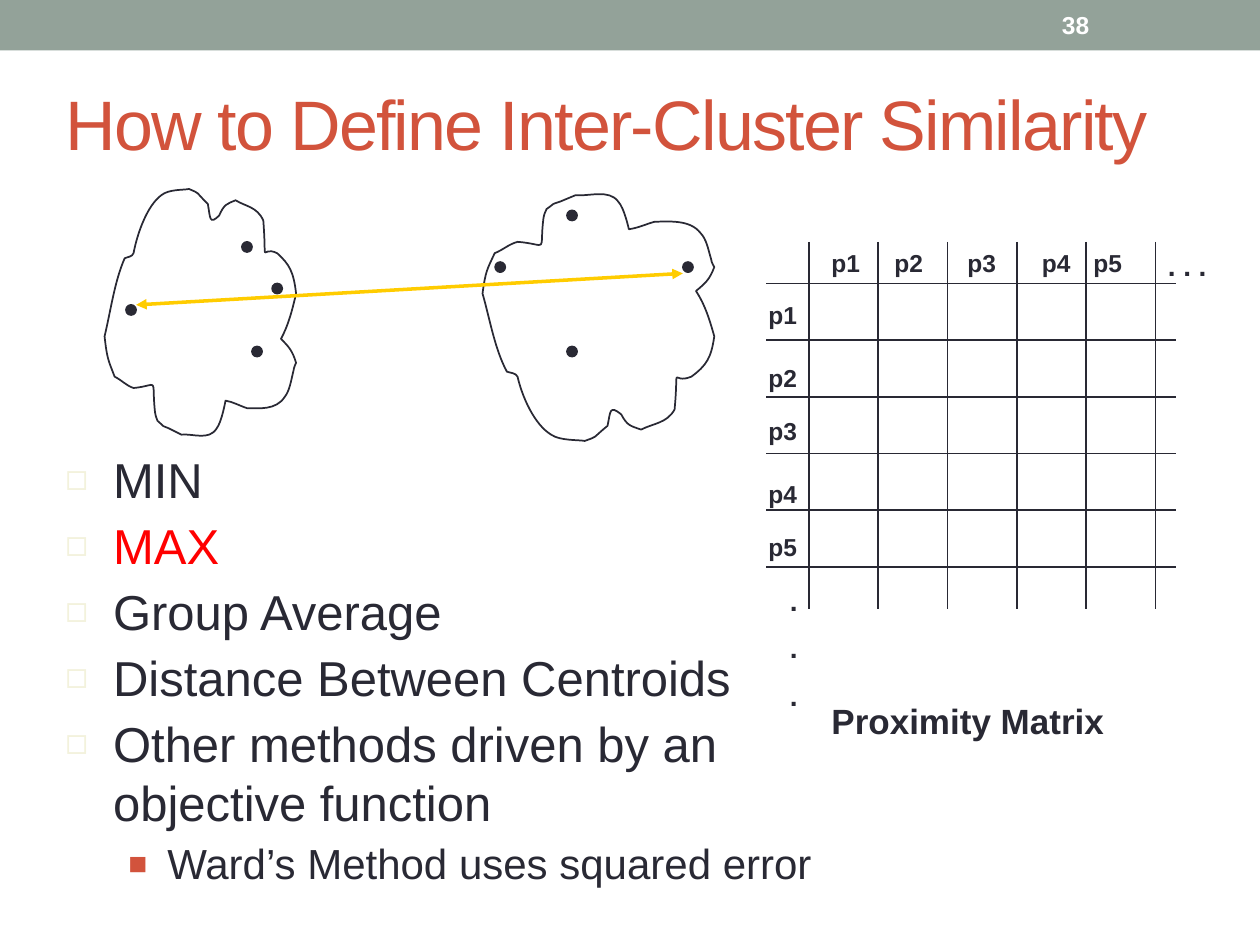
from dataclasses import dataclass

import pptx
import pptx.dml.color
import pptx.enum.shapes
import pptx.enum.text
import pptx.oxml
import pptx.oxml.ns
import pptx.util
from pptx.util import Inches, Pt

INK, RUST, SAGE = "292934", "D2533C", "93A299"
WHITE, RED, GOLD, CREAM = "FFFFFF", "FF0000", "FFCC00", "F3F2DC"
FONT = "Arial"
DOT_SIZE = 0.08


@dataclass
class Label:
    text: str
    left: float
    top: float
    width: float = 0.58
    height: float = 0.33
    size: float = 14
    color: str = INK
    bold: bool = True
    grow: bool = True
    spacing: float = 0


@dataclass
class Bullet:
    text: str
    color: str = INK
    size: float = 28
    level: int = 0
    mark: str = "◻"
    mark_color: str = CREAM
    margin: float = 0.38
    hang: float = 0.38


def rgb(color: str) -> pptx.dml.color.RGBColor:
    return pptx.dml.color.RGBColor.from_string(color)


def add_xml(parent, tag: str, **attributes: str):
    element = pptx.oxml.parse_xml(f"<a:{tag} {pptx.oxml.ns.nsdecls('a')}/>")
    for name, value in attributes.items():
        element.set(name, value)
    parent.append(element)
    return element


def add_span(para, text: str, size: float, color: str, bold: bool = False):
    span = para.add_run()
    span.text = text
    span.font.name, span.font.size, span.font.bold = FONT, Pt(size), bold
    span.font.color.rgb = rgb(color)
    return span


def add_box(shapes, left: float, top: float, width: float, height: float):
    box = shapes.add_textbox(Inches(left), Inches(top), Inches(width), Inches(height))
    box.text_frame.word_wrap = True
    return box


def add_label(shapes, label: Label) -> None:
    frame = add_box(shapes, label.left, label.top, label.width, label.height).text_frame
    if label.grow:
        frame.auto_size = pptx.enum.text.MSO_AUTO_SIZE.SHAPE_TO_FIT_TEXT
    else:
        frame.vertical_anchor = pptx.enum.text.MSO_ANCHOR.MIDDLE
    for index, line in enumerate(label.text.split("\n")):
        para = frame.add_paragraph() if index else frame.paragraphs[0]
        if index:
            para.space_before = Pt(label.size / 2)
        span = add_span(para, line, label.size, label.color, label.bold)
        if label.spacing:
            span.font._element.set("spc", str(int(label.spacing * 100)))


def add_line(shapes, x1: float, y1: float, x2: float, y2: float,
             color: str = INK, width: float = 1, arrows: bool = False) -> None:
    line = shapes.add_connector(pptx.enum.shapes.MSO_CONNECTOR.STRAIGHT,
                                Inches(x1), Inches(y1), Inches(x2), Inches(y2))
    line.line.color.rgb = rgb(color)
    line.line.width = Pt(width)
    if arrows:
        for end in ("headEnd", "tailEnd"):
            add_xml(line.line._get_or_add_ln(), end, type="triangle")
    add_xml(line._element.spPr, "effectLst")


def add_solid(shapes, kind, left: float, top: float, width: float, height: float,
              color: str, outlined: bool) -> None:
    shape = shapes.add_shape(kind, Inches(left), Inches(top), Inches(width), Inches(height))
    shape.shadow.inherit = False
    shape.fill.solid()
    shape.fill.fore_color.rgb = rgb(color)
    if outlined:
        shape.line.color.rgb = rgb(color)
        shape.line.width = Pt(1)
    else:
        shape.line.fill.background()


def add_outline(shapes, points: list) -> None:
    """Draw a closed chain of cubic curves: a start, then three points per curve."""
    corners = [(Inches(x), Inches(y)) for x, y in points]
    builder = shapes.build_freeform(*corners[0])
    builder.add_line_segments(corners[1:], close=True)
    outline = builder.convert_to_shape()
    outline.shadow.inherit = False
    outline.fill.background()
    outline.line.color.rgb = rgb(INK)
    outline.line.width = Pt(1)

    # Gather each three straight segments into one curve
    segments = outline._element.xpath(".//a:lnTo")
    for index in range(0, len(segments), 3):
        curve = add_xml(segments[index].getparent(), "cubicBezTo")
        segments[index].addprevious(curve)
        for segment in segments[index:index + 3]:
            curve.append(segment[0])
            segment.getparent().remove(segment)


def add_bullet(para, bullet: Bullet) -> None:
    para.level = bullet.level
    para.space_before = para.space_after = Pt(2)
    properties = para._p.get_or_add_pPr()
    properties.set("marL", str(Inches(bullet.margin)))
    properties.set("indent", str(-Inches(bullet.hang)))
    add_xml(add_xml(properties, "buClr"), "srgbClr", val=bullet.mark_color)
    add_xml(properties, "buSzPct", val="75000")
    add_xml(properties, "buFont", typeface=FONT)
    add_xml(properties, "buChar", char=bullet.mark)
    add_span(para, bullet.text, bullet.size, bullet.color)


CLUSTER_START = (0.99, 2.05)
CLUSTER_CURVES = [
    (0.91, 2.23, 0.88, 2.46, 0.83, 2.67), (0.85, 2.85, 0.86, 2.86, 0.91, 2.99),
    (0.97, 3.02, 1, 3.06, 1.06, 3.08), (1.27, 3.06, 1.2, 2.98, 1.23, 3.27),
    (1.23, 3.29, 1.24, 3.31, 1.25, 3.34), (1.32, 3.4, 1.27, 3.37, 1.34, 3.4),
    (1.38, 3.42, 1.44, 3.45, 1.44, 3.45), (1.53, 3.44, 1.66, 3.5, 1.72, 3.4),
    (1.76, 3.35, 1.79, 3.18, 1.79, 3.18), (1.85, 3.19, 1.9, 3.22, 1.96, 3.24),
    (2.05, 3.24, 2.19, 3.26, 2.26, 3.15), (2.3, 3.1, 2.31, 3.02, 2.33, 2.94),
    (2.33, 2.92, 2.35, 2.88, 2.35, 2.88), (2.32, 2.78, 2.29, 2.75, 2.23, 2.69),
    (2.29, 2.58, 2.32, 2.46, 2.35, 2.33), (2.33, 2.16, 2.3, 2.1, 2.2, 2.01),
    (2.06, 1.94, 2.12, 2.15, 2.09, 1.75), (2.04, 1.64, 1.95, 1.64, 1.87, 1.59),
    (1.8, 1.62, 1.78, 1.62, 1.74, 1.71), (1.66, 1.79, 1.67, 1.73, 1.65, 1.62),
    (1.54, 1.51, 1.59, 1.54, 1.5, 1.5), (1.46, 1.51, 1.34, 1.5, 1.28, 1.55),
    (1.17, 1.63, 1.09, 1.85, 1.06, 2.01), (1.05, 2.04, 1.01, 2.04, 0.99, 2.05),
]
LEFT_DOTS = [(2, 2.75), (1.92, 1.92), (1, 2.42), (2.16, 2.25)]
RIGHT_DOTS = [(5.42, 2.08), (3.93, 2.08), (4.5, 2.75), (4.5, 1.67)]
COLUMN_LEFTS = [6.5, 7, 7.58, 8.17, 8.58]
ROW_TOPS = [2.33, 2.83, 3.25, 3.75, 4.17]
BULLETS = [
    Bullet("MIN"),
    Bullet("MAX", color=RED),
    Bullet("Group Average"),
    Bullet("Distance Between Centroids"),
    Bullet("Other methods driven by an objective function"),
    Bullet("Ward’s Method uses squared error", size=24, level=1, mark="■",
           mark_color=RUST, margin=0.81, hang=0.31),
]


def main() -> None:
    deck = pptx.Presentation()
    deck.slide_width, deck.slide_height = Inches(10), Inches(7.5)
    shapes = deck.slides.add_slide(deck.slide_layouts[6]).shapes
    kinds = pptx.enum.shapes.MSO_SHAPE

    # Top band and title
    add_solid(shapes, kinds.RECTANGLE, 0, 0, 10, 0.4, SAGE, outlined=False)
    add_label(shapes, Label("How to Define Inter-Cluster Similarity", 0.42, 0.67, 9.06, 0.6,
                            40, RUST, bold=False, grow=False, spacing=-1))

    # Proximity matrix
    matrix = shapes.add_group_shape().shapes
    for index in range(6):
        x, y = 6.42 + 0.55 * index, 2.25 + 0.45 * index
        add_line(matrix, x, 1.92, x, 4.83)
        add_line(matrix, 6.08, y, 9.33, y)
    for number, (left, top) in enumerate(zip(COLUMN_LEFTS, ROW_TOPS), start=1):
        add_label(matrix, Label(f"p{number}", left, 1.92))
        add_label(matrix, Label(f"p{number}", 6, top))
    add_label(matrix, Label(". . .", 9.17, 1.92, height=0.37, size=16))
    add_label(matrix, Label(".\n.\n.", 6.17, 4.58, height=1.17, size=16))

    # Clusters: the right one is the left one upside down and wider
    cluster = [CLUSTER_START] + [curve[i:i + 2] for curve in CLUSTER_CURVES for i in (0, 2, 4)]
    add_outline(shapes, cluster)
    add_outline(shapes, [(3.83 + (x - 0.83) * 1.21, 5 - y) for x, y in cluster])
    for left, top in LEFT_DOTS + RIGHT_DOTS:
        add_solid(shapes, kinds.OVAL, left, top, DOT_SIZE, DOT_SIZE, INK, outlined=True)
    add_line(shapes, 1.08, 2.42, 5.42, 2.17, GOLD, 2, arrows=True)

    # Caption, bullet list and slide number
    add_label(shapes, Label("Proximity Matrix", 6.5, 5.5, 2.75, 0.43, 20))
    frame = add_box(shapes, 0.42, 3.52, 6.33, 3.42).text_frame
    for index, bullet in enumerate(BULLETS):
        add_bullet(frame.add_paragraph() if index else frame.paragraphs[0], bullet)
    add_label(shapes, Label("38", 8.33, 0.02, 1.17, 0.36, color=WHITE, grow=False))

    deck.save("out.pptx")


if __name__ == "__main__":
    main()
